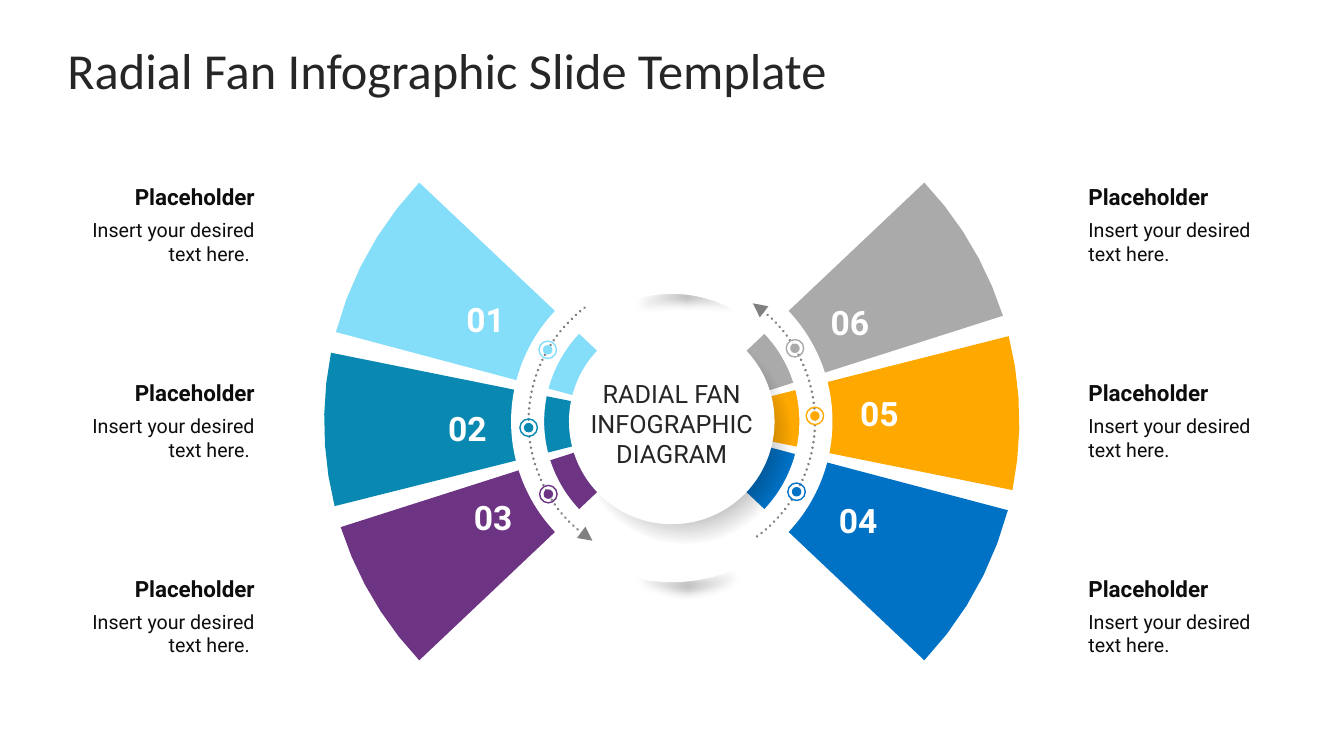
from math import cos, radians, sin

from lxml import etree
from pptx import Presentation
from pptx.dml.color import RGBColor
from pptx.enum.dml import MSO_LINE
from pptx.enum.shapes import MSO_SHAPE
from pptx.enum.text import MSO_ANCHOR, PP_ALIGN
from pptx.oxml import parse_xml
from pptx.oxml.ns import nsdecls, qn
from pptx.util import Cm, Pt

OVAL, DONUT, ARC = MSO_SHAPE.OVAL, MSO_SHAPE.DONUT, MSO_SHAPE.ARC
LEFT, CENTER, RIGHT = PP_ALIGN.LEFT, PP_ALIGN.CENTER, PP_ALIGN.RIGHT
TOP, MIDDLE, BOTTOM = MSO_ANCHOR.TOP, MSO_ANCHOR.MIDDLE, MSO_ANCHOR.BOTTOM
DOTS = MSO_LINE.ROUND_DOT

TITLE = "Radial Fan Infographic Slide Template"
HUB = ["RADIAL FAN", "INFOGRAPHIC", "DIAGRAM"]
HEADING = "Placeholder"
CAPTIONS = [
    (27.43, LEFT, "Insert your desired text here."),
    (2.13, RIGHT, "Insert your desired text here. "),
]
# label, colour, start angle, end angle, marker angle, label centre
FANS = [
    ("01", "84DDF9", 194.9, 223.4, 210, (12.24, 8.05)),
    ("02", "0989B1", 165.9, 191.4, 177.5, (11.78, 10.79)),
    ("03", "6C3483", 136.6, 162.3, 149.5, (12.43, 13.04)),
    ("04", "0072C6", 14.8, 43.4, 29.4, (21.63, 13.11)),
    ("05", "FFA900", -14.2, 11.4, -2.2, (22.16, 10.41)),
    ("06", "AAAAAA", -43.4, -17.7, -30.7, (21.42, 8.13)),
]
ARROWS = [(123.6, 232.8), (304.5, 54.1)]
CX, CY = 16.93, 10.62
FAN_R, TRACK_R, RING_R, HUB_R = 8.76, 3.61, 4.05, 2.59
RIM_STEPS = 5
RING_SHADE = [(0, 0), (32, 0), (50, 27), (68, 0), (100, 0)]
HUB_SHADE = [(0, 38), (40, 32), (62, 0), (100, 0)]
ROW_TOP, ROW_PITCH, ROWS = 4.7, 4.93, 3

prs = Presentation()
prs.slide_width, prs.slide_height = Cm(33.87), Cm(19.05)
s = prs.slides.add_slide(prs.slide_layouts[6])


def rgb(value):
    return RGBColor.from_string(value)


def polar(radius, angle):
    a = radians(angle)
    return CX + radius * cos(a), CY + radius * sin(a)


def paint(sp, fill=None, line=None, width=1):
    sp.shadow.inherit = False
    if fill:
        sp.fill.solid()
        sp.fill.fore_color.rgb = rgb(fill)
    else:
        sp.fill.background()
    if line:
        sp.line.color.rgb = rgb(line)
        sp.line.width = Pt(width)
    else:
        sp.line.fill.background()


def round_shape(kind, x, y, radius, fill=None, line=None, width=1):
    sp = s.shapes.add_shape(kind, Cm(x - radius), Cm(y - radius), Cm(2 * radius), Cm(2 * radius))
    paint(sp, fill, line, width)
    return sp


def shade(sp, stops, direction):
    stop_xml = "".join(
        f'<a:gs pos="{pos * 1000}"><a:srgbClr val="000000">'
        f'<a:alpha val="{alpha * 1000}"/></a:srgbClr></a:gs>'
        for pos, alpha in stops)
    grad = parse_xml(f'<a:gradFill {nsdecls("a")} rotWithShape="1">'
                     f'<a:gsLst>{stop_xml}</a:gsLst>{direction}</a:gradFill>')
    pr = sp._element.spPr
    pr.replace(pr.find(qn("a:noFill")), grad)


def text(x, y, w, h, lines, size, color, font="Roboto", bold=False,
         align=LEFT, anchor=TOP, wrap=True, pad=0):
    tf = s.shapes.add_textbox(Cm(x), Cm(y), Cm(w), Cm(h)).text_frame
    tf.word_wrap, tf.vertical_anchor = wrap, anchor
    tf.margin_left = tf.margin_right = Cm(pad)
    tf.margin_top = tf.margin_bottom = Cm(pad / 2)
    for i, line in enumerate(lines):
        p = tf.add_paragraph() if i else tf.paragraphs[0]
        p.text, p.alignment = line, align
        p.font.name, p.font.size, p.font.bold = font, Pt(size), bold
        p.font.color.rgb = rgb(color)


text(1.7, 0.76, 30.48, 1.98, [TITLE], 36, "262626", font="Calibri", anchor=MIDDLE)

for label, color, start, end, marker, center in FANS:
    step = (end - start) / RIM_STEPS
    rim = [polar(FAN_R, start + step * i) for i in range(RIM_STEPS + 1)]
    fb = s.shapes.build_freeform(Cm(CX), Cm(CY))
    fb.add_line_segments([(Cm(x), Cm(y)) for x, y in rim], close=True)
    paint(fb.convert_to_shape(), color)

for label, color, start, end, marker, (x, y) in FANS:
    text(x - 0.75, y - 0.64, 1.5, 1.27, [label], 24, "FFFFFF", bold=True,
         align=CENTER, anchor=MIDDLE, wrap=False, pad=0.25)

ring_shadow = round_shape(DONUT, CX + 0.38, CY + 0.48, RING_R)
shade(ring_shadow, RING_SHADE, '<a:lin ang="0" scaled="0"/>')
effects = ring_shadow._element.spPr.find(qn("a:effectLst"))
etree.SubElement(effects, qn("a:softEdge"), rad=str(Cm(0.25)))
ring = round_shape(DONUT, CX, CY, RING_R, "FFFFFF")
for sp in (ring_shadow, ring):
    sp.adjustments[0] = 0.103

hub_shadow = round_shape(OVAL, CX + 0.33, CY + 0.39, 3.09)
shade(hub_shadow, HUB_SHADE,
      '<a:path path="circle"><a:fillToRect l="50000" t="50000" r="50000" b="50000"/></a:path>')
round_shape(OVAL, CX, CY, HUB_R, "FFFFFF")

for start, end in ARROWS:
    sp = round_shape(ARC, CX, CY, TRACK_R, line="808080", width=2)
    sp.adjustments[0], sp.adjustments[1] = start * 0.6, end * 0.6
    sp.line.dash_style = DOTS
    ln = sp.line._get_or_add_ln()
    ln.set("cap", "rnd")
    etree.SubElement(ln, qn("a:headEnd"), type="triangle", w="lg", len="lg")

for label, color, start, end, marker, center in FANS:
    x, y = polar(TRACK_R, marker)
    round_shape(OVAL, x, y, 0.12, color)
    round_shape(OVAL, x, y, 0.22, line=color)

text(CX - HUB_R, CY - 1.23, 2 * HUB_R, 2.57, HUB, 18, "262626",
     align=CENTER, anchor=MIDDLE, pad=0.25)

for x, align, body in CAPTIONS:
    for row in range(ROWS):
        y = ROW_TOP + row * ROW_PITCH
        text(x, y + 0.8, 4.29, 1.09, [body], 14, "0D0D0D", align=align)
        text(x, y, 4.29, 0.6, [HEADING], 16, "0D0D0D", bold=True, align=align, anchor=BOTTOM)

prs.save("out.pptx")
